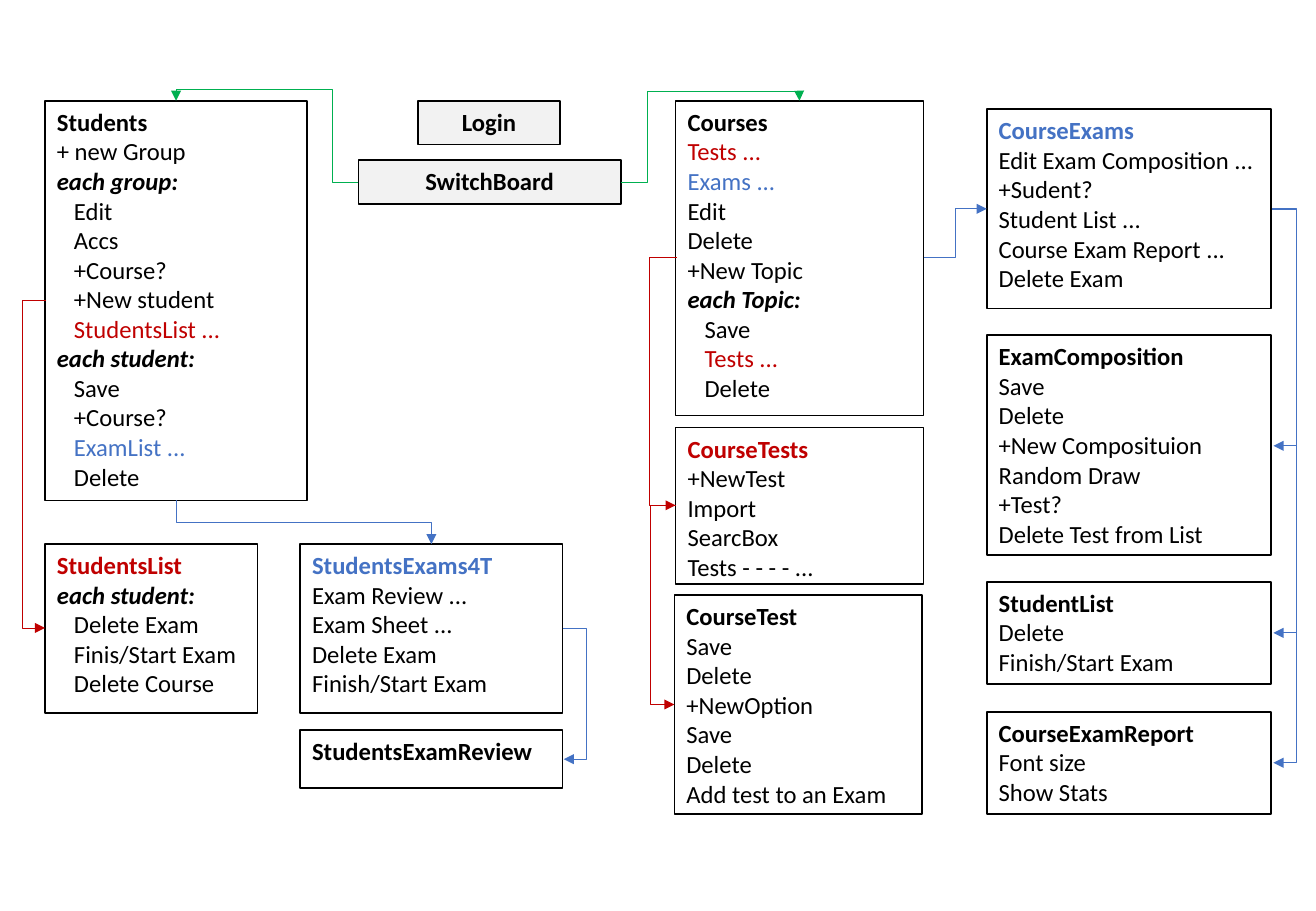
"""Draw the screen map of an exam administration application."""
from dataclasses import dataclass
from typing import NamedTuple, Optional

from lxml import etree
from pptx import Presentation
from pptx.dml.color import RGBColor
from pptx.enum.shapes import MSO_CONNECTOR, MSO_SHAPE
from pptx.enum.text import MSO_ANCHOR, PP_ALIGN
from pptx.oxml.ns import qn
from pptx.util import Pt

ELBOW = MSO_CONNECTOR.ELBOW
RECTANGLE = MSO_SHAPE.RECTANGLE
TOP = MSO_ANCHOR.TOP
LEFT, CENTER = PP_ALIGN.LEFT, PP_ALIGN.CENTER
PX = 9144
WIDTH, HEIGHT = 1083, 750
INDENT = 14


@dataclass(frozen=True)
class Theme:
    ink: str = "000000"
    paper: str = "FFFFFF"
    button: str = "F2F2F2"
    red: str = "C00000"
    blue: str = "4472C4"
    green: str = "00B050"
    font: str = "Calibri"
    size: float = 14.6
    border: float = 1
    link: float = 0.5


THEME = Theme()


class Line(NamedTuple):
    text: str
    color: str = THEME.ink
    bold: bool = False
    italic: bool = False
    indented: bool = False


class Box(NamedTuple):
    x: int
    y: int
    w: int
    h: int
    lines: list[Line]
    fill: str = THEME.paper
    align: PP_ALIGN = LEFT


class Link(NamedTuple):
    color: str
    begin: tuple[int, int]
    end: tuple[int, int]
    bend_x: Optional[int] = None
    bend_y: Optional[int] = None


def title(text: str, color: str = THEME.ink) -> Line:
    return Line(text, color, bold=True)


def each(text: str) -> Line:
    return Line(text, bold=True, italic=True)


def sub(text: str, color: str = THEME.ink) -> Line:
    return Line(text, color, indented=True)


def plain(*texts: str) -> list[Line]:
    return [Line(text) for text in texts]


def button(x: int, y: int, w: int, text: str) -> Box:
    return Box(x, y, w, 36, [title(text)], THEME.button, CENTER)


BOXES = [
    button(295, 132, 216, "SwitchBoard"),
    Box(37, 83, 216, 329, [
        title("Students"), Line("+ new Group"), each("each group:"),
        sub("Edit"), sub("Accs"), sub("+Course?"), sub("+New student"),
        sub("StudentsList ...", THEME.red), each("each student:"),
        sub("Save"), sub("+Course?"), sub("ExamList ...", THEME.blue),
        sub("Delete")]),
    Box(37, 448, 175, 139, [
        title("StudentsList", THEME.red), each("each student:"),
        sub("Delete Exam"), sub("Finis/Start Exam"), sub("Delete Course")]),
    Box(247, 448, 216, 139, [
        title("StudentsExams4T", THEME.blue),
        *plain("Exam Review ...", "Exam Sheet ...", "Delete Exam",
               "Finish/Start Exam")]),
    Box(247, 601, 216, 48, [title("StudentsExamReview")]),
    Box(556, 83, 204, 259, [
        title("Courses"), Line("Tests ...", THEME.red),
        Line("Exams ...", THEME.blue),
        *plain("Edit", "Delete", "+New Topic"), each("each Topic:"),
        sub("Save"), sub("Tests ...", THEME.red), sub("Delete")]),
    Box(556, 352, 204, 129, [
        title("CourseTests", THEME.red),
        *plain("+NewTest", "Import", "SearcBox", "Tests - - - - ...")]),
    Box(555, 490, 204, 180, [
        title("CourseTest"),
        *plain("Save", "Delete", "+NewOption", "Save", "Delete",
               "Add test to an Exam")]),
    Box(812, 90, 234, 164, [
        title("CourseExams", THEME.blue),
        *plain("Edit Exam Composition ...", "+Sudent?", "Student List ...",
               "Course Exam Report ...", "Delete Exam")]),
    Box(812, 276, 234, 181, [
        title("ExamComposition"),
        *plain("Save", "Delete", "+New Composituion", "Random Draw",
               "+Test?", "Delete Test from List")]),
    Box(812, 479, 234, 84, [
        title("StudentList"), *plain("Delete", "Finish/Start Exam")]),
    Box(812, 586, 234, 84, [
        title("CourseExamReport"), *plain("Font size", "Show Stats")]),
    button(344, 83, 117, "Login"),
]

LINKS = [
    Link(THEME.green, (295, 150), (145, 83), 274, 74),
    Link(THEME.green, (511, 150), (658, 83), 533, 75),
    Link(THEME.blue, (760, 212), (812, 172), 786),
    Link(THEME.red, (557, 212), (556, 416), 534),
    Link(THEME.red, (556, 416), (555, 580), 535),
    *(Link(THEME.blue, (1047, 172), (1048, y), 1067) for y in (367, 521, 628)),
    Link(THEME.red, (38, 247), (37, 517), 18),
    Link(THEME.blue, (145, 412), (355, 448), bend_y=430),
    Link(THEME.blue, (463, 517), (464, 625), 483),
]


def draw_box(s, box: Box) -> None:
    sp = s.shapes.add_shape(RECTANGLE, *(v * PX for v in box[:4]))
    sp.shadow.inherit = False
    sp.fill.solid()
    sp.fill.fore_color.rgb = RGBColor.from_string(box.fill)
    sp.line.color.rgb = RGBColor.from_string(THEME.ink)
    sp.line.width = Pt(THEME.border)
    tf = sp.text_frame
    tf.word_wrap = True
    tf.vertical_anchor = TOP
    for i, line in enumerate(box.lines):
        p = tf.add_paragraph() if i else tf.paragraphs[0]
        p.text = line.text
        p.alignment = box.align
        if line.indented:
            p._p.get_or_add_pPr().set("marL", str(INDENT * PX))
        p.font.name = THEME.font
        p.font.size = Pt(THEME.size)
        p.font.bold, p.font.italic = line.bold, line.italic
        p.font.color.rgb = RGBColor.from_string(line.color)


def draw_link(s, link: Link) -> None:
    (x0, y0), (x1, y1) = link.begin, link.end
    vertical = link.bend_x is None
    if vertical:
        cx, cy, dx, dy = (x0 + x1) // 2, (y0 + y1) // 2, x1 - x0, y1 - y0
        ends = (cx + dy // 2, cy - dx // 2, cx - dy // 2, cy + dx // 2)
        bends = [(link.bend_y - y0) / dy]
    else:
        ends = (x0, y0, x1, y1)
        bends = [(link.bend_x - x0) / (x1 - x0)]
        if link.bend_y is not None:
            bends.append((link.bend_y - y0) / (y1 - y0))
    c = s.shapes.add_connector(ELBOW, *(v * PX for v in ends))
    c.line.color.rgb = RGBColor.from_string(link.color)
    c.line.width = Pt(THEME.link)
    spPr = c._element.spPr
    if vertical:
        spPr.find(qn("a:xfrm")).set("rot", "16200000")
    geom = spPr.find(qn("a:prstGeom"))
    geom.set("prst", f"bentConnector{len(bends) + 2}")
    for i, bend in enumerate(bends, 1):
        etree.SubElement(geom.find(qn("a:avLst")), qn("a:gd"),
                         name=f"adj{i}", fmla=f"val {round(bend * 100000)}")
    etree.SubElement(spPr.find(qn("a:ln")), qn("a:tailEnd"), type="triangle")
    etree.SubElement(spPr, qn("a:effectLst"))


def main() -> None:
    prs = Presentation()
    prs.slide_width, prs.slide_height = WIDTH * PX, HEIGHT * PX
    s = prs.slides.add_slide(prs.slide_layouts[6])
    for box in BOXES:
        draw_box(s, box)
    for link in LINKS:
        draw_link(s, link)
    prs.save("out.pptx")


if __name__ == "__main__":
    main()
